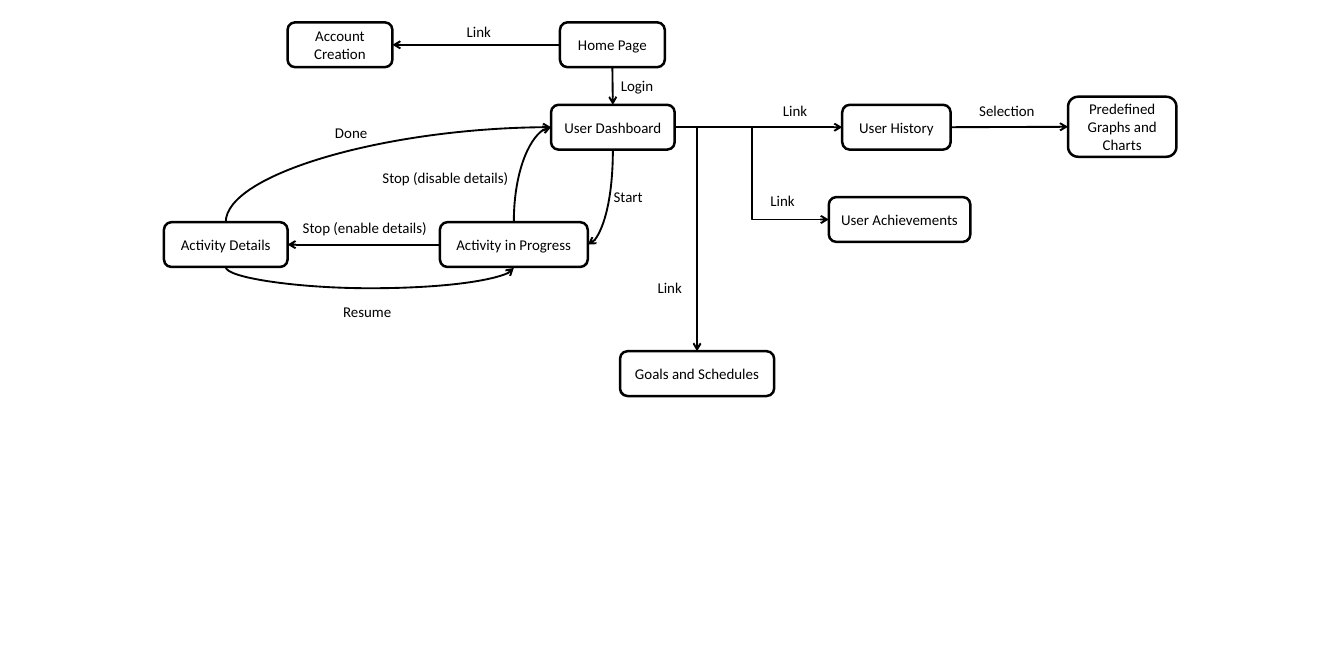
from typing import NamedTuple

from lxml.etree import SubElement
from pptx import Presentation
from pptx.dml.color import RGBColor
from pptx.enum.shapes import MSO_CONNECTOR, MSO_SHAPE
from pptx.enum.text import MSO_ANCHOR, MSO_AUTO_SIZE, PP_ALIGN
from pptx.oxml.ns import qn
from pptx.util import Inches, Pt

COLORS = {"ink": "000000", "paper": "FFFFFF"}
FONT = "Calibri"
TOP, LEFT, BOTTOM, RIGHT = range(4)  # connection sites of a rounded rectangle


class Box(NamedTuple):
    text: str
    x: float
    y: float
    w: float
    h: float = 0.5


class Label(NamedTuple):
    text: str
    x: float
    y: float
    w: float


class Link(NamedTuple):
    start: str
    start_side: int
    end: str
    end_side: int
    preset: str = "straightConnector1"


class Curve(NamedTuple):
    start: str
    start_side: int
    end: str
    end_side: int
    preset: str = "curvedConnector2"
    drop: float = 0  # extra height at the end point
    bend: float = 0  # bulge as a multiple of the height


BOXES = {
    "home": Box("Home Page", 6.25, 0.25, 1.17),
    "dashboard": Box("User Dashboard", 6.15, 1.17, 1.38),
    "progress": Box("Activity in Progress", 4.91, 2.48, 1.65),
    "details": Box("Activity Details", 1.83, 2.48, 1.38),
    "history": Box("User History", 9.4, 1.17, 1.21),
    "achievements": Box("User Achievements", 9.25, 2.2, 1.58),
    "charts": Box("Predefined Graphs and Charts", 11.92, 1.08, 1.21, 0.67),
    "account": Box("Account Creation", 3.21, 0.25, 1.17),
    "goals": Box("Goals and Schedules", 6.92, 3.92, 1.72),
}

LINKS = [
    Link("home", BOTTOM, "dashboard", TOP),
    Link("home", LEFT, "account", RIGHT),
    Link("progress", LEFT, "details", RIGHT),
    Link("dashboard", RIGHT, "history", LEFT),
    Link("history", RIGHT, "charts", LEFT),
    Link("dashboard", RIGHT, "achievements", LEFT, "bentConnector3"),
    Link("dashboard", RIGHT, "goals", TOP, "bentConnector2"),
]

CURVES = [
    Curve("progress", TOP, "dashboard", LEFT),
    Curve("dashboard", BOTTOM, "progress", RIGHT),
    Curve("details", TOP, "dashboard", LEFT),
    Curve("details", BOTTOM, "progress", BOTTOM, "curvedConnector3", 0.01, 24),
]

LABELS = [
    Label("Login", 6.83, 0.81, 0.88),
    Label("Start", 6.75, 2.05, 0.88),
    Label("Stop (disable details)", 4.17, 1.83, 2.5),
    Label("Stop (enable details)", 3.28, 2.39, 1.72),
    Label("Done", 3.64, 1.33, 0.61),
    Label("Link", 8.64, 1.08, 0.61),
    Label("Link", 8.5, 2.09, 0.61),
    Label("Selection", 10.83, 1.08, 0.85),
    Label("Link", 5.11, 0.2, 0.61),
    Label("Resume", 3.73, 3.33, 0.82),
    Label("Link", 7.24, 3.06, 0.51),
]


def color(name: str) -> RGBColor:
    return RGBColor.from_string(COLORS[name])


def add_run(p, text: str) -> None:
    r = p.add_run()
    r.text = text
    r.font.name = FONT
    r.font.size = Pt(12)
    r.font.color.rgb = color("ink")


def add_box(shapes, box: Box):
    sp = shapes.add_shape(MSO_SHAPE.ROUNDED_RECTANGLE, Inches(box.x),
                          Inches(box.y), Inches(box.w), Inches(box.h))
    sp.shadow.inherit = False
    sp.fill.solid()
    sp.fill.fore_color.rgb = color("paper")
    sp.line.color.rgb = color("ink")
    sp.line.width = Pt(2)
    tf = sp.text_frame
    tf.word_wrap = True
    tf.vertical_anchor = MSO_ANCHOR.MIDDLE
    p = tf.paragraphs[0]
    p.alignment = PP_ALIGN.CENTER
    add_run(p, box.text)
    return sp


def add_label(shapes, label: Label) -> None:
    sp = shapes.add_textbox(Inches(label.x), Inches(label.y),
                            Inches(label.w), Inches(0.3))
    tf = sp.text_frame
    tf.word_wrap = True
    tf.auto_size = MSO_AUTO_SIZE.SHAPE_TO_FIT_TEXT
    add_run(tf.paragraphs[0], label.text)


def add_arrow(shapes, kind, preset: str):
    cxn = shapes.add_connector(kind, 0, 0, 0, 0)
    cxn.line.color.rgb = color("ink")
    cxn.line.width = Pt(1.5)
    sp_pr = cxn._element.spPr
    sp_pr.find(qn("a:prstGeom")).set("prst", preset)
    SubElement(sp_pr.find(qn("a:ln")), qn("a:tailEnd"), type="arrow")
    SubElement(sp_pr, qn("a:effectLst"))
    return cxn


def add_link(shapes, link: Link, nodes: dict) -> None:
    straight = link.preset.startswith("straight")
    kind = MSO_CONNECTOR.STRAIGHT if straight else MSO_CONNECTOR.ELBOW
    cxn = add_arrow(shapes, kind, link.preset)
    cxn.begin_connect(nodes[link.start], link.start_side)
    cxn.end_connect(nodes[link.end], link.end_side)


def site(box: Box, side: int) -> tuple[float, float]:
    fx, fy = [(0.5, 0), (0, 0.5), (0.5, 1), (1, 0.5)][side]
    return box.x + box.w * fx, box.y + box.h * fy


def add_curve(shapes, curve: Curve) -> None:
    x1, y1 = site(BOXES[curve.start], curve.start_side)
    x2, y2 = site(BOXES[curve.end], curve.end_side)
    y2 += curve.drop
    cxn = add_arrow(shapes, MSO_CONNECTOR.CURVE, curve.preset)
    # A curve that leaves vertically is a quarter turn of the preset
    w, h = abs(y2 - y1), abs(x2 - x1)
    cxn.left, cxn.top = Inches((x1 + x2 - w) / 2), Inches((y1 + y2 - h) / 2)
    cxn.width, cxn.height = Inches(w), Inches(h)
    xfrm = cxn._element.spPr.find(qn("a:xfrm"))
    xfrm.set("rot", "5400000")
    xfrm.set("flipH", str(int(y2 < y1)))
    xfrm.set("flipV", str(int(x2 > x1)))
    if curve.bend:
        geom = cxn._element.spPr.find(qn("a:prstGeom"))
        av_lst = geom.find(qn("a:avLst"))
        if av_lst is None:
            av_lst = SubElement(geom, qn("a:avLst"))
        SubElement(av_lst, qn("a:gd"), name="adj1",
                   fmla=f"val {int(curve.bend * 100000)}")


prs = Presentation()
prs.slide_width, prs.slide_height = Inches(15), Inches(7.5)
s = prs.slides.add_slide(prs.slide_layouts[6])

# Pages
nodes = {name: add_box(s.shapes, box) for name, box in BOXES.items()}

# Transitions
for link in LINKS:
    add_link(s.shapes, link, nodes)
for curve in CURVES:
    add_curve(s.shapes, curve)

# Transition names
for label in LABELS:
    add_label(s.shapes, label)

prs.save("out.pptx")
